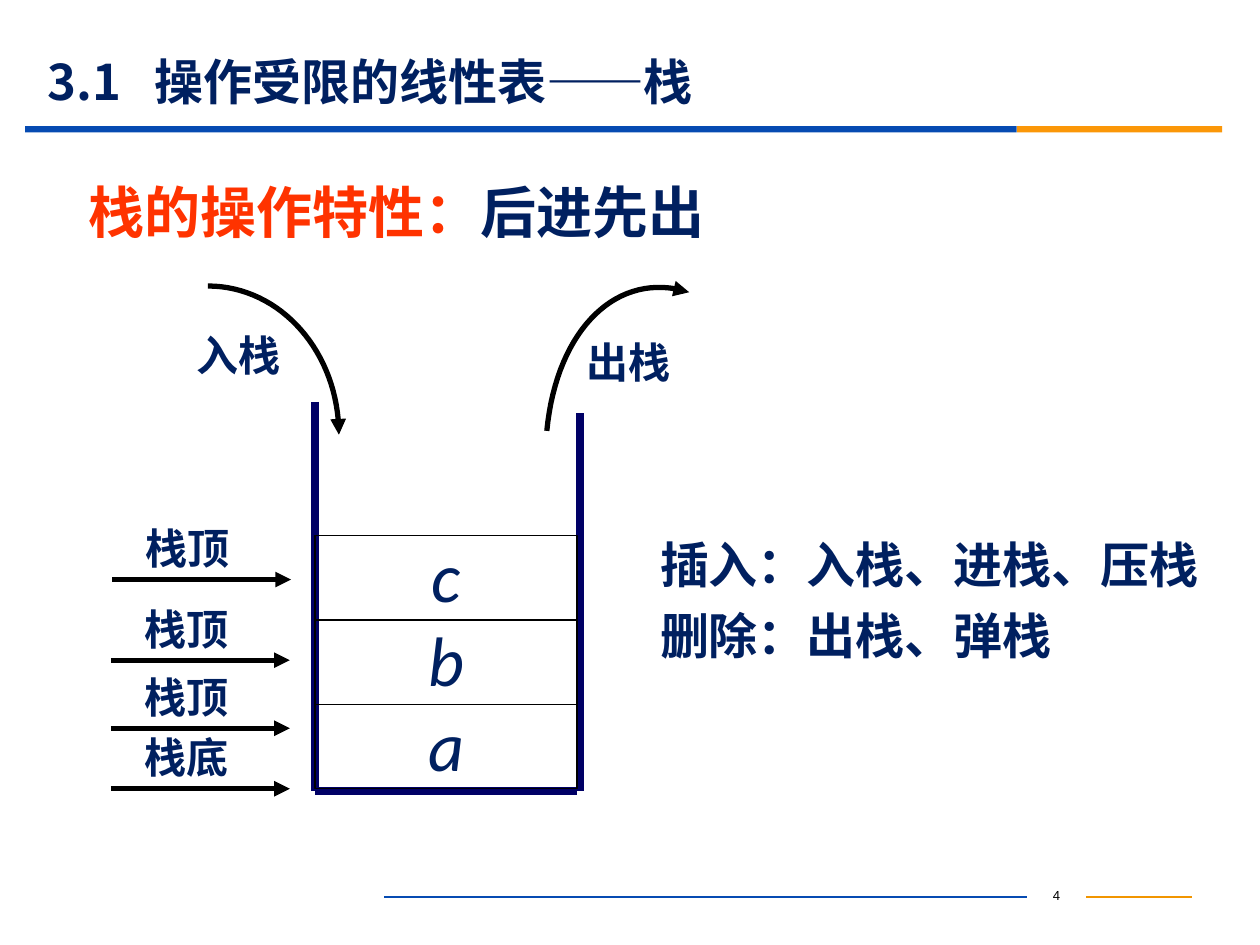
import lxml.etree
import pptx
import pptx.dml.color
import pptx.enum.shapes
import pptx.enum.text
import pptx.oxml.ns
import pptx.util

Inches = pptx.util.Inches
Align = pptx.enum.text.PP_ALIGN
Anchor = pptx.enum.text.MSO_ANCHOR
qn = pptx.oxml.ns.qn


class Theme:
    CJK = "Noto Sans CJK SC"
    LATIN = "Calibri"
    NUMBER = "Arial"
    NAVY = "002060"
    WALL = "000066"
    RED = "FF3300"
    BLACK = "000000"
    BLUE = "064BB2"
    ORANGE = "FB9708"
    AMBER = "F19500"
    HEADING, TITLE, LABEL, ITEM, PAGE = 32, 28, 24, 40, 7.5
    WALL_WIDTH, ARROW_WIDTH, THIN = 4.5, 3, 0.75


def rgb(value):
    return pptx.dml.color.RGBColor.from_string(value)


def set_attributes(target, values):
    for name, value in values.items():
        setattr(target, name, value)


def bezier(start, first, second, end, steps=32):
    """Points along a cubic curve."""
    for step in range(steps + 1):
        t = step / steps
        weights = ((1 - t) ** 3, 3 * t * (1 - t) ** 2, 3 * t * t * (1 - t), t ** 3)
        yield tuple(
            sum(weight * value for weight, value in zip(weights, axis))
            for axis in zip(start, first, second, end)
        )


class SlideBuilder:
    def __init__(self, slide, theme):
        self.slide = slide
        self.theme = theme

    def fill_text(self, frame, paragraphs, size, font=None, bold=True, italic=False,
                  align=Align.LEFT, space_before=0, tab=None, **frame_format):
        """Fill a text frame; each paragraph is a list of (text, colour) runs."""
        font = font or self.theme.CJK
        set_attributes(frame, {"word_wrap": True, **frame_format})
        for index, runs in enumerate(paragraphs):
            paragraph = frame.add_paragraph() if index else frame.paragraphs[0]
            paragraph.alignment = align
            if index:
                paragraph.space_before = pptx.util.Pt(space_before)
            if tab:
                tabs = lxml.etree.SubElement(paragraph._p.get_or_add_pPr(), qn("a:tabLst"))
                lxml.etree.SubElement(tabs, qn("a:tab"), pos=str(Inches(tab)), algn="l")
            for text, color in runs:
                run = paragraph.add_run()
                run.text = text
                set_attributes(run.font, {"name": font, "size": pptx.util.Pt(size),
                                          "bold": bold, "italic": italic})
                run.font.color.rgb = rgb(color)
                lxml.etree.SubElement(run._r.get_or_add_rPr(), qn("a:ea"), typeface=font)

    def text(self, box, paragraphs, size, shapes=None, **text_format):
        shapes = shapes or self.slide.shapes
        shape = shapes.add_textbox(*map(Inches, box))
        self.fill_text(shape.text_frame, paragraphs, size, **text_format)

    def rectangle(self, box, fill=None, line=None):
        shape = self.slide.shapes.add_shape(
            pptx.enum.shapes.MSO_SHAPE.RECTANGLE, *map(Inches, box))
        shape.shadow.inherit = False
        if fill:
            shape.fill.solid()
            shape.fill.fore_color.rgb = rgb(fill)
        else:
            shape.fill.background()
        if line:
            self.stroke(shape, line, self.theme.THIN)
        else:
            shape.line.fill.background()
        return shape

    def stroke(self, shape, color, width, arrow=False):
        shape.line.color.rgb = rgb(color)
        shape.line.width = pptx.util.Pt(width)
        if arrow:
            outline = shape._element.spPr.find(qn("a:ln"))
            lxml.etree.SubElement(outline, qn("a:tailEnd"), type="triangle")

    def line(self, start, end, color, width, arrow=False, shapes=None):
        shapes = shapes or self.slide.shapes
        connector = shapes.add_connector(
            pptx.enum.shapes.MSO_CONNECTOR.STRAIGHT, *map(Inches, (*start, *end)))
        self.stroke(connector, color, width, arrow)
        lxml.etree.SubElement(connector._element.spPr, qn("a:effectLst"))

    def curved_arrow(self, *controls):
        points = [tuple(map(Inches, point)) for point in bezier(*controls)]
        builder = self.slide.shapes.build_freeform(*points[0])
        builder.add_line_segments(points[1:], close=False)
        shape = builder.convert_to_shape()
        shape.shadow.inherit = False
        shape.fill.background()
        self.stroke(shape, self.theme.BLACK, self.theme.ARROW_WIDTH, arrow=True)

    def label(self, box, text, shapes=None):
        self.text(box, [[(text, self.theme.NAVY)]], self.theme.LABEL, shapes)

    def pointer(self, left, top, text):
        """A label above an arrow that points at the stack."""
        shapes = self.slide.shapes.add_group_shape().shapes
        self.line((left, top), (left + 1.42, top), self.theme.BLACK,
                  self.theme.ARROW_WIDTH, arrow=True, shapes=shapes)
        self.label((left + 0.17, top - 0.5, 1, 0.5), text, shapes)

    def stack_item(self, box, name):
        shape = self.rectangle(box, line=self.theme.BLACK)
        self.fill_text(shape.text_frame, [[(name, self.theme.NAVY)]], self.theme.ITEM,
                       font=self.theme.LATIN, bold=False, italic=True, align=Align.CENTER,
                       word_wrap=False, vertical_anchor=Anchor.MIDDLE, margin_top=0)


def main():
    theme = Theme
    presentation = pptx.Presentation()
    presentation.slide_width, presentation.slide_height = Inches(10), Inches(7.5)
    slide = presentation.slides.add_slide(presentation.slide_layouts[6])
    builder = SlideBuilder(slide, theme)

    # Header and footer
    builder.text((8.15, 6.99, 0.47, 0.25), [[("4", theme.BLACK)]], theme.PAGE,
                 font=theme.NUMBER, bold=False, align=Align.CENTER)
    builder.line((8.62, 7.12), (9.46, 7.12), theme.AMBER, theme.THIN)
    builder.line((3.05, 7.12), (8.15, 7.12), theme.BLUE, theme.THIN)
    builder.rectangle((0.2, 1, 7.87, 0.05), fill=theme.BLUE)
    builder.rectangle((8.07, 1, 1.63, 0.05), fill=theme.ORANGE)
    builder.text((0.28, 0.43, 9, 0.43), [[("3.1\t操作受限的线性表——栈", theme.NAVY)]],
                 theme.TITLE, tab=0.85, vertical_anchor=Anchor.MIDDLE)
    builder.text((0.6, 1.36, 7.08, 0.64),
                 [[("栈的操作特性：", theme.RED), ("后进先出", theme.NAVY)]], theme.HEADING)

    # Stack
    left, right, bottom = 2.5, 4.6, 6.28
    for start, end in (((left, 3.19), (left, bottom)),
                       ((left, bottom), (4.58, bottom)),
                       ((right, 3.28), (right, bottom))):
        builder.line(start, end, theme.WALL, theme.WALL_WIDTH)
    item_height = 0.67
    for level, name in enumerate("abc"):
        builder.stack_item((left, 5.59 - level * item_height, 2.08, item_height), name)

    # Push and pop
    builder.curved_arrow((1.65, 2.27), (2.23, 2.27), (2.69, 2.8), (2.69, 3.45))
    builder.label((1.46, 2.57, 0.98, 0.5), "入栈")
    builder.curved_arrow((4.34, 3.42), (4.42, 2.6), (4.91, 2.14), (5.47, 2.32))
    builder.label((4.56, 2.62, 0.92, 0.5), "出栈")

    # Top and bottom pointers
    for x, y, text in ((0.88, 6.26, "栈底"), (0.88, 5.78, "栈顶"),
                       (0.88, 5.24, "栈顶"), (0.89, 4.6, "栈顶")):
        builder.pointer(x, y, text)

    builder.text((5.14, 4.19, 4.51, 1.27),
                 [[("插入：入栈、进栈、压栈", theme.NAVY)], [("删除：出栈、弹栈", theme.NAVY)]],
                 theme.TITLE, space_before=7)
    presentation.save("out.pptx")


if __name__ == "__main__":
    main()
